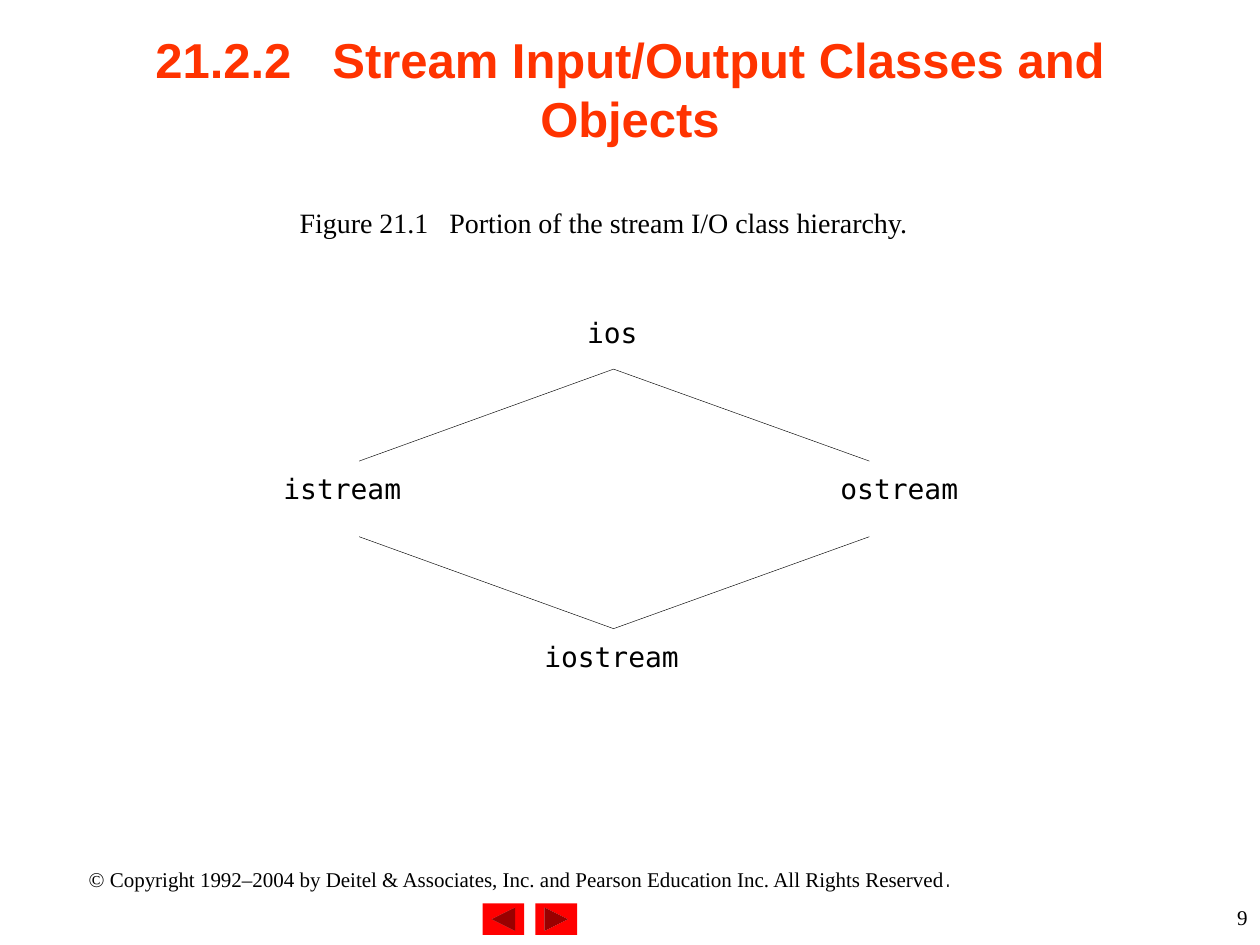
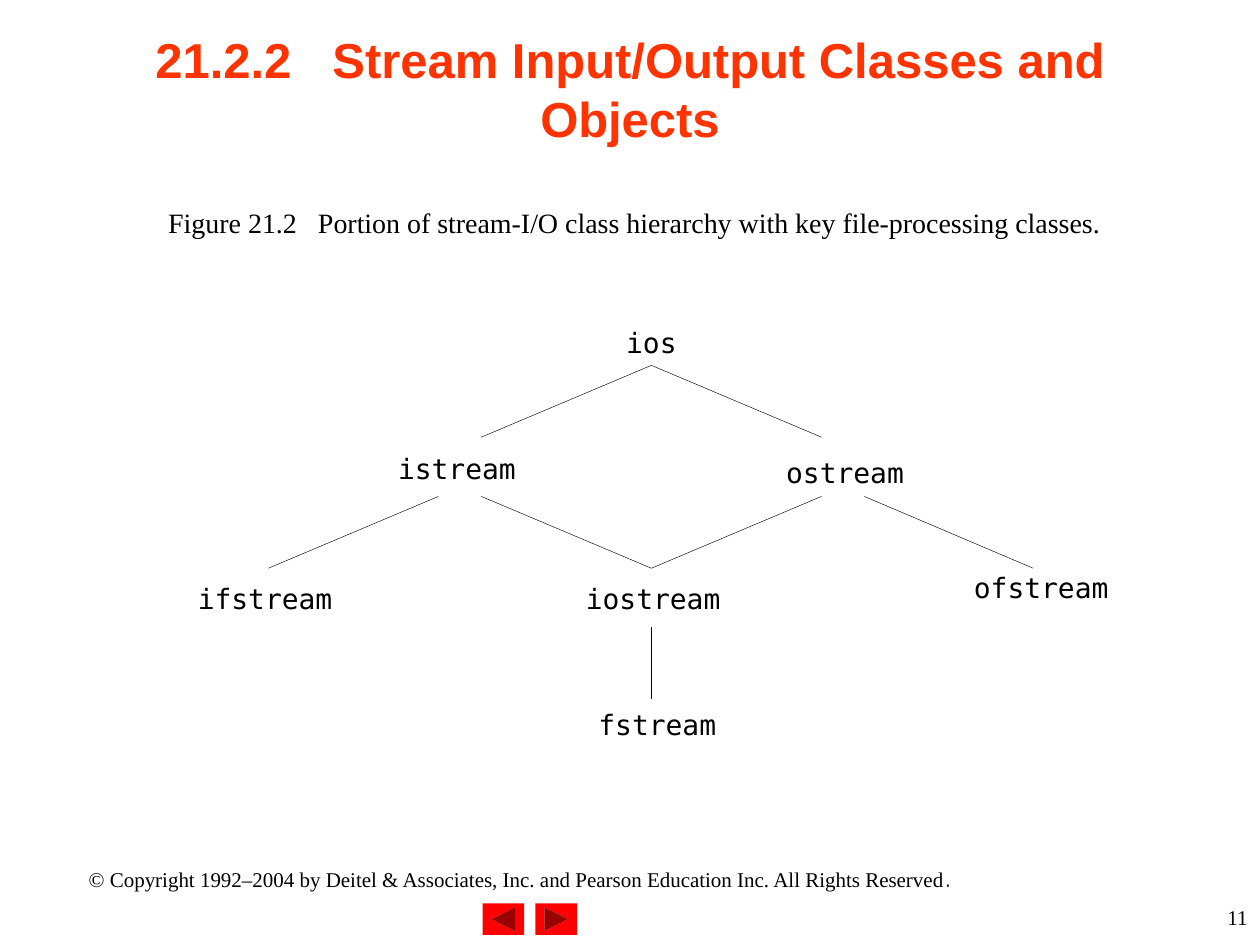
"""Build two slides on the stream input/output class hierarchy."""
from dataclasses import dataclass

from lxml.etree import SubElement
from pptx import Presentation
from pptx.dml.color import RGBColor
from pptx.enum.shapes import MSO_CONNECTOR, MSO_SHAPE
from pptx.enum.text import MSO_ANCHOR, PP_ALIGN
from pptx.oxml.ns import qn
from pptx.slide import Slide
from pptx.text.text import TextFrame
from pptx.util import Inches, Pt

Point = tuple[float, float]


@dataclass(frozen=True)
class TextStyle:
    """Typeface, size in points, colour and weight."""
    name: str
    size: int
    colour: RGBColor
    bold: bool = False

    def apply(self, font) -> None:
        """Set these properties on a font."""
        font.name = self.name
        font.size = Pt(self.size)
        font.bold = self.bold
        font.color.rgb = self.colour


@dataclass(frozen=True)
class Theme:
    """Colours, type styles and line settings shared by the slides."""
    ink: RGBColor = RGBColor(0x00, 0x00, 0x00)
    button: RGBColor = RGBColor(0xFF, 0x00, 0x00)
    title: TextStyle = TextStyle("Arial", 28, RGBColor(0xFF, 0x33, 0x00), True)
    caption: TextStyle = TextStyle("Times New Roman", 16, ink)
    footer: TextStyle = TextStyle("Times New Roman", 12, ink)
    code: TextStyle = TextStyle("DejaVu Sans Mono", 16, ink)
    full_stop_font: str = "TeX Gyre Adventor"
    code_spacing: float = 0.64
    branch_width: float = 0.25


@dataclass(frozen=True)
class Area:
    """A rectangle in inches."""
    left: float
    top: float
    width: float
    height: float

    def lengths(self) -> tuple[Inches, Inches, Inches, Inches]:
        """Return left, top, width and height as lengths."""
        return (Inches(self.left), Inches(self.top),
                Inches(self.width), Inches(self.height))


@dataclass(frozen=True)
class ClassLabel:
    """A class name and the area it stands in."""
    name: str
    area: Area


@dataclass(frozen=True)
class Page:
    """The content of one hierarchy slide."""
    number: int
    figure: str
    caption: str
    caption_area: Area
    labels: tuple[ClassLabel, ...]
    branches: tuple[tuple[Point, ...], ...]


THEME = Theme()
SECTION = "21.2.2"
HEADING = "Stream Input/Output Classes and Objects"
COPYRIGHT = ("© Copyright 1992–2004 by Deitel & Associates, Inc. "
             "and Pearson Education Inc. All Rights Reserved")
TITLE_AREA = Area(0.75, 0.08, 8.5, 1.25)
COPYRIGHT_AREA = Area(0.5, 6.83, 7.25, 0.3)
NUMBER_AREA = Area(9.25, 7.13, 0.75, 0.3)
BUTTONS = ((Area(4.25, 7.17, 0.33, 0.25), 0), (Area(3.83, 7.17, 0.33, 0.25), 180))

PAGES = (
    Page(
        9, "Figure 21.1", "Portion of the stream I/O class hierarchy.",
        Area(1.08, 1.58, 7.42, 0.37),
        (
            ClassLabel("ios", Area(4.66, 2.59, 0.67, 0.25)),
            ClassLabel("istream", Area(2.25, 3.83, 1.33, 0.34)),
            ClassLabel("ostream", Area(6.67, 3.83, 1.25, 0.33)),
            ClassLabel("iostream", Area(4.32, 5.16, 1.26, 0.26)),
        ),
        (
            ((6.9, 3.66), (4.87, 2.93), (2.85, 3.66)),
            ((6.9, 4.26), (4.87, 4.99), (2.85, 4.26)),
        ),
    ),
    Page(
        11, "Figure 21.2",
        "Portion of stream-I/O class hierarchy with key file-processing classes.",
        Area(1.2, 1.58, 7.67, 0.37),
        (
            ClassLabel("ios", Area(4.97, 2.67, 0.62, 0.39)),
            ClassLabel("istream", Area(3.16, 3.67, 1.34, 0.39)),
            ClassLabel("ostream", Area(6.24, 3.7, 1.34, 0.39)),
            ClassLabel("ifstream", Area(1.57, 4.7, 1.52, 0.39)),
            ClassLabel("iostream", Area(4.65, 4.7, 1.52, 0.39)),
            ClassLabel("ofstream", Area(7.73, 4.61, 1.52, 0.39)),
            ClassLabel("fstream", Area(4.75, 5.7, 1.34, 0.39)),
        ),
        (
            ((6.52, 3.47), (5.17, 2.9), (3.82, 3.47)),
            ((6.52, 3.94), (5.17, 4.51), (3.82, 3.94)),
            ((3.48, 3.94), (2.13, 4.51)),
            ((6.86, 3.94), (8.2, 4.51)),
            ((5.17, 4.98), (5.17, 5.55)),
        ),
    ),
)


def add_text(slide: Slide, area: Area, text: str, style: TextStyle,
             alignment: PP_ALIGN = PP_ALIGN.CENTER) -> TextFrame:
    """Add a wrapped text box with one styled paragraph."""
    frame = slide.shapes.add_textbox(*area.lengths()).text_frame
    frame.word_wrap = True
    para = frame.paragraphs[0]
    para.text = text
    para.alignment = alignment
    style.apply(para.font)
    return frame


def add_numbered_text(frame: TextFrame, number: str, text: str,
                      style: TextStyle, space_width: float) -> None:
    """Write a number and its text, parted by a space widened to three."""
    para = frame.paragraphs[0]
    para.alignment = PP_ALIGN.CENTER
    spans = []
    for part in (number, " ", text):
        span = para.add_run()
        span.text = part
        spans.append(span)
    extra = round(2 * space_width * style.size * 100)
    spans[1].font._element.set("spc", str(extra))
    style.apply(para.font)


def add_title(slide: Slide) -> None:
    """Fill and place the title placeholder."""
    title = slide.shapes.title
    title.left, title.top, title.width, title.height = TITLE_AREA.lengths()
    frame = title.text_frame
    frame.word_wrap = True
    frame.vertical_anchor = MSO_ANCHOR.MIDDLE
    add_numbered_text(frame, SECTION, HEADING, THEME.title, 0.28)


def add_footer(slide: Slide, number: int) -> None:
    """Add the navigation buttons, copyright line and page number."""
    for area, rotation in BUTTONS:
        button = slide.shapes.add_shape(
            MSO_SHAPE.ACTION_BUTTON_FORWARD_OR_NEXT, *area.lengths())
        button.rotation = rotation
        button.shadow.inherit = False
        button.fill.solid()
        button.fill.fore_color.rgb = THEME.button
        button.line.fill.background()
    frame = add_text(slide, COPYRIGHT_AREA, COPYRIGHT, THEME.footer)
    full_stop = frame.paragraphs[0].add_run()
    full_stop.text = "."
    full_stop.font.name = THEME.full_stop_font
    add_text(slide, NUMBER_AREA, str(number), THEME.footer, PP_ALIGN.RIGHT)


def add_label(slide: Slide, label: ClassLabel) -> None:
    """Add a class name without text margins."""
    frame = add_text(slide, label.area, label.name, THEME.code, PP_ALIGN.LEFT)
    frame.margin_left = frame.margin_top = Inches(0)
    frame.margin_right = frame.margin_bottom = Inches(0)
    frame.paragraphs[0].line_spacing = THEME.code_spacing


def add_branch(slide: Slide, points: tuple[Point, ...]) -> None:
    """Draw a straight or bent inheritance line through the points."""
    start, *others = [(Inches(x), Inches(y)) for x, y in points]
    if len(others) == 1:
        branch = slide.shapes.add_connector(
            MSO_CONNECTOR.STRAIGHT, *start, *others[0])
    else:
        builder = slide.shapes.build_freeform(*start)
        builder.add_line_segments(others, close=False)
        branch = builder.convert_to_shape()
        branch.fill.background()
    branch.line.color.rgb = THEME.ink
    branch.line.width = Pt(THEME.branch_width)
    SubElement(branch._element.spPr, qn("a:effectLst"))


def build_page(slide: Slide, page: Page) -> None:
    """Draw one hierarchy slide."""
    add_footer(slide, page.number)
    add_title(slide)
    caption = add_text(slide, page.caption_area, "", THEME.caption)
    add_numbered_text(caption, page.figure, page.caption, THEME.caption, 0.25)
    for label in page.labels:
        add_label(slide, label)
    for points in page.branches:
        add_branch(slide, points)


def main() -> None:
    """Build and save the deck."""
    deck = Presentation()
    deck.slide_width, deck.slide_height = Inches(10), Inches(7.5)
    title_only = deck.slide_layouts[5]
    for page in PAGES:
        build_page(deck.slides.add_slide(title_only), page)
    deck.save("out.pptx")


if __name__ == "__main__":
    main()
